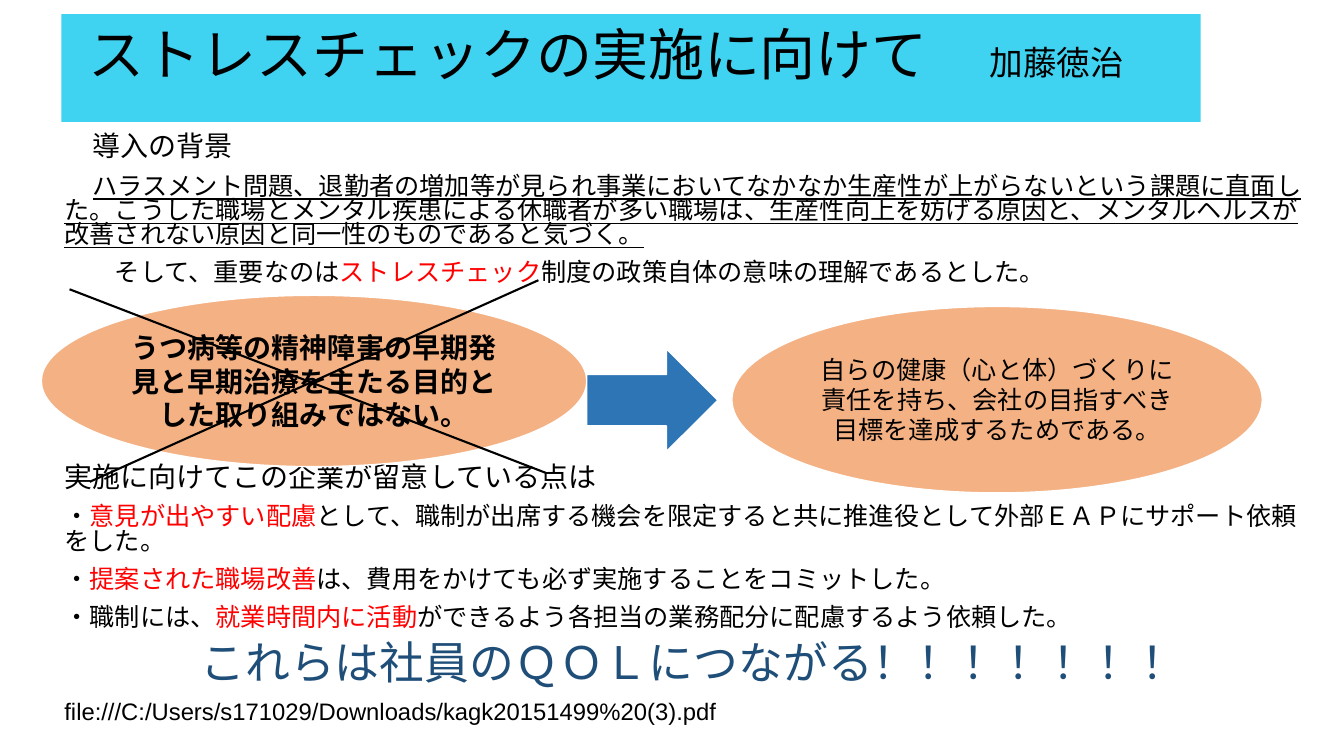
from dataclasses import dataclass

from lxml.etree import SubElement
from pptx import Presentation
from pptx.dml.color import RGBColor
from pptx.enum.shapes import MSO_CONNECTOR, MSO_SHAPE
from pptx.enum.text import MSO_ANCHOR, PP_ALIGN
from pptx.oxml.ns import qn
from pptx.util import Inches, Pt


@dataclass(frozen=True)
class Theme:
    banner: str = "3FD3F1"
    oval: str = "F4B183"
    arrow: str = "2E75B6"
    outline: str = "FFFFFF"
    ink: str = "000000"
    accent: str = "FF0000"
    closing: str = "1F4E79"
    font: str = "Noto Sans CJK JP"
    link_font: str = "Arial"
    title: int = 40
    title_gap: int = 44
    author: int = 24
    heading: int = 20
    body: int = 18
    closing_size: int = 32
    link: int = 17


THEME = Theme()


def add_span(para, text, size=THEME.body, color=THEME.ink, font=THEME.font,
             bold=False, underline=False):
    span = para.add_run()
    span.text = text
    span.font.size = Pt(size)
    span.font.bold = bold
    span.font.underline = underline
    span.font.color.rgb = RGBColor.from_string(color)
    span.font.name = font
    SubElement(span.font._element, qn("a:ea")).set("typeface", font)


def add_para(frame, spans, indent=0, spacing=0.8, before=10, align=PP_ALIGN.LEFT):
    """Add a paragraph of (text, format) spans; indent moves its first line, in inches."""
    first = not frame.paragraphs[0].runs
    para = frame.paragraphs[0] if first else frame.add_paragraph()
    para.alignment = align
    para.line_spacing = spacing
    para.space_before = Pt(0 if first else before)
    if indent:
        properties = para._p.get_or_add_pPr()
        properties.set("marL", "0")
        properties.set("indent", str(Inches(indent)))
    for text, style in spans:
        add_span(para, text, **style)


def add_text_box(page, left, top, width, height, anchor=MSO_ANCHOR.TOP):
    box = page.shapes.add_textbox(*map(Inches, (left, top, width, height)))
    box.text_frame.word_wrap = True
    box.text_frame.vertical_anchor = anchor
    return box.text_frame


def add_filled_shape(page, kind, left, top, width, height, fill, outline=None):
    shape = page.shapes.add_shape(kind, *map(Inches, (left, top, width, height)))
    shape.shadow.inherit = False
    shape.fill.solid()
    shape.fill.fore_color.rgb = RGBColor.from_string(fill)
    if outline:
        shape.line.color.rgb = RGBColor.from_string(outline)
        shape.line.width = Pt(1)
    else:
        shape.line.fill.background()
    return shape


def add_banner(page, left, top, width, height):
    add_filled_shape(page, MSO_SHAPE.RECTANGLE, left, top, width, height, THEME.banner)
    frame = add_text_box(page, left + 0.17, 0, width + 0.2, top + height - 0.1,
                         MSO_ANCHOR.MIDDLE)
    add_para(frame, [
        ("ストレスチェックの実施に向けて", {"size": THEME.title}),
        ("　", {"size": THEME.title_gap}),
        ("加藤徳治", {"size": THEME.author}),
    ], spacing=0.9)


def add_background(page, left, top, width, height):
    frame = add_text_box(page, left, top, width, height)
    add_para(frame, [("導入の背景", {"size": THEME.heading})], indent=0.28)
    add_para(frame, [(
        "ハラスメント問題、退勤者の増加等が見られ事業においてなかなか生産性が上がらないという"
        "課題に直面した。こうした職場とメンタル疾患による休職者が多い職場は、生産性向上を妨げる"
        "原因と、メンタルヘルスが改善されない原因と同一性のものであると気づく。",
        {"underline": True})], indent=0.28)
    add_para(frame, [
        ("そして、重要なのは", {}),
        ("ストレスチェック", {"color": THEME.accent}),
        ("制度の政策自体の意味の理解であるとした。", {}),
    ], indent=0.5)


def add_measures(page, left, top, width, height):
    frame = add_text_box(page, left, top, width, height)
    add_para(frame, [("実施に向けてこの企業が留意している点は", {"size": THEME.heading})])
    measures = [
        ("・", "意見が出やすい配慮",
         "として、職制が出席する機会を限定すると共に推進役として外部ＥＡＰにサポート依頼をした。"),
        ("・", "提案された職場改善",
         "は、費用をかけても必ず実施することをコミットした。"),
        ("・職制には、", "就業時間内に活動",
         "ができるよう各担当の業務配分に配慮するよう依頼した。"),
    ]
    for lead, key, rest in measures:
        add_para(frame, [(lead, {}), (key, {"color": THEME.accent}), (rest, {})])
    add_para(frame, [("これらは社員のＱＯＬにつながる！！！！！！！",
                      {"size": THEME.closing_size, "color": THEME.closing})], indent=1.35)
    add_para(frame, [("file:///C:/Users/s171029/Downloads/kagk20151499%20(3).pdf",
                      {"size": THEME.link, "font": THEME.link_font})])


def add_oval(page, left, top, width, height, text, **style):
    oval = add_filled_shape(page, MSO_SHAPE.OVAL, left, top, width, height,
                            THEME.oval, THEME.outline)
    oval.text_frame.word_wrap = True
    oval.text_frame.vertical_anchor = MSO_ANCHOR.MIDDLE
    add_para(oval.text_frame, [(text, style)], spacing=1.0, align=PP_ALIGN.CENTER)


def add_stroke(page, *ends):
    stroke = page.shapes.add_connector(MSO_CONNECTOR.STRAIGHT, *map(Inches, ends))
    stroke.line.color.rgb = RGBColor.from_string(THEME.ink)
    stroke.line.width = Pt(1.5)
    SubElement(stroke._element.spPr, qn("a:effectLst"))


def add_purpose_shift(page, left, top):
    """Crossed-out purpose, arrow, and the real purpose."""
    add_oval(page, left, top, 5.41, 1.7,
             "うつ病等の精神障害の早期発見と早期治療を主たる目的とした取り組みではない。",
             size=THEME.heading, bold=True)
    add_oval(page, left + 6.85, top + 0.11, 5.26, 1.85,
             "自らの健康（心と体）づくりに責任を持ち、会社の目指すべき目標を達成するためである。")
    add_filled_shape(page, MSO_SHAPE.RIGHT_ARROW, left + 5.41, top + 0.53, 1.3, 1.02,
                     THEME.arrow, THEME.outline)
    add_stroke(page, left + 0.28, top - 0.06, left + 5, top + 1.76)
    add_stroke(page, left + 0.48, top + 1.85, left + 4.93, top - 0.15)


def main():
    deck = Presentation()
    deck.slide_width, deck.slide_height = Inches(13.33), Inches(7.5)
    page = deck.slides.add_slide(deck.slide_layouts[6])
    add_banner(page, 0.61, 0.14, 11.3, 1.07)
    add_background(page, 0.54, 1.29, 12.48, 1.6)
    add_measures(page, 0.54, 4.57, 12.48, 2.75)
    add_purpose_shift(page, 0.41, 2.93)
    deck.save("out.pptx")


if __name__ == "__main__":
    main()
